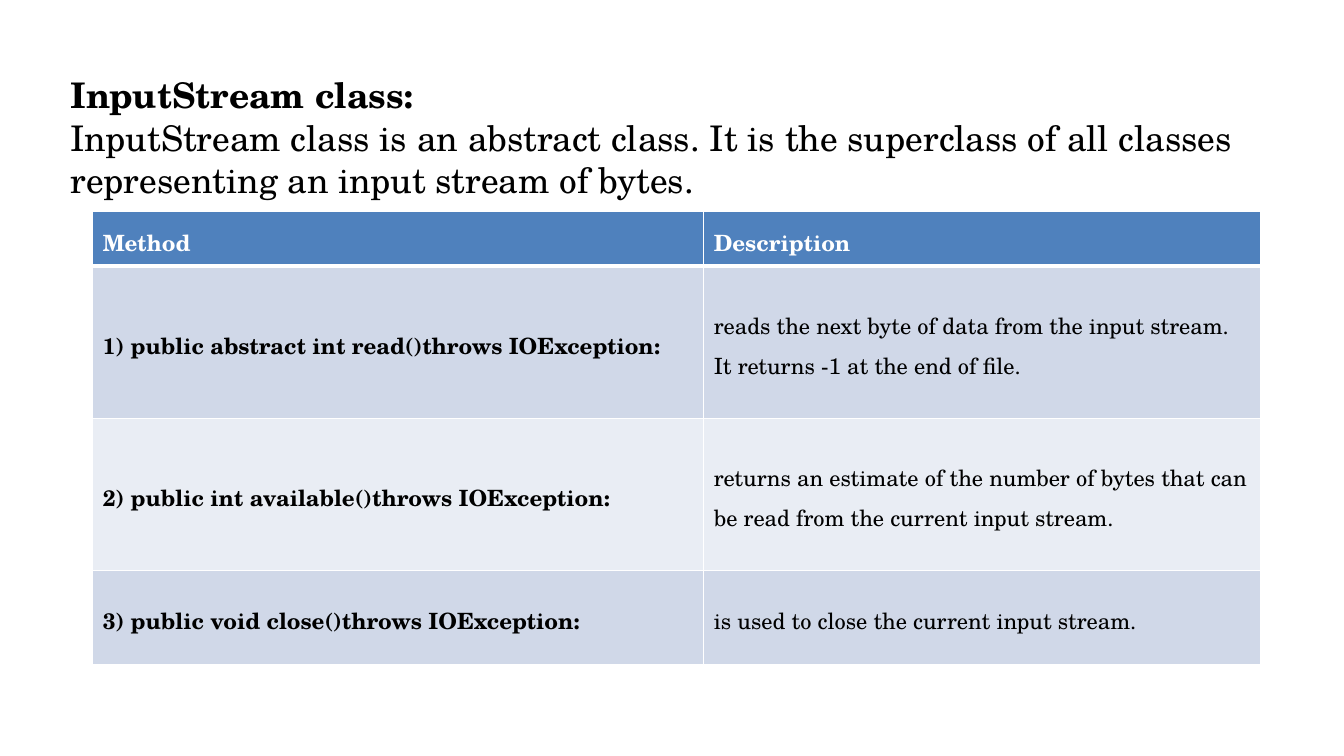
"""Build a slide that introduces the InputStream class and its main methods."""
from dataclasses import dataclass

from lxml.etree import SubElement
from pptx import Presentation
from pptx.dml.color import RGBColor
from pptx.enum.text import MSO_ANCHOR
from pptx.oxml.ns import qn
from pptx.util import Inches, Pt


@dataclass(frozen=True)
class Theme:
    font: str = "TeX Gyre Schola"
    title_size: float = 25.2
    table_size: float = 16
    text: str = "000000"
    white: str = "FFFFFF"
    header: str = "4F81BD"
    bands: tuple = ("D0D8E8", "E9EDF4")
    border: float = 1
    header_border: float = 3


theme = Theme()


def write(paragraph, text, *, size, color=theme.text, bold=False):
    run = paragraph.add_run()
    run.text = text
    run.font.name = theme.font
    run.font.size = Pt(size)
    run.font.bold = bold
    run.font.color.rgb = RGBColor.from_string(color)


def add_border(cell, side, width):
    line = SubElement(cell._tc.get_or_add_tcPr(), qn(f"a:ln{side}"), w=str(Pt(width)))
    fill = SubElement(line, qn("a:solidFill"))
    SubElement(fill, qn("a:srgbClr"), val=theme.white)


presentation = Presentation()
presentation.slide_width = Inches(13.33)
presentation.slide_height = Inches(7.5)
slide = presentation.slides.add_slide(presentation.slide_layouts[6])

title = slide.shapes.add_textbox(Inches(0.6), Inches(0.68), Inches(12), Inches(0.79))
title.text_frame.word_wrap = True
title_paragraph = title.text_frame.paragraphs[0]
write(title_paragraph, "InputStream class:", size=theme.title_size, bold=True)
title_paragraph.add_line_break()
write(
    title_paragraph,
    "InputStream class is an abstract class. It is the superclass of all classes "
    "representing an input stream of bytes.",
    size=theme.title_size,
)

methods = [
    ("Method", "Description"),
    (
        "1) public abstract int read()throws IOException:",
        "reads the next byte of data from the input stream. It returns -1 at the end of file.",
    ),
    (
        "2) public int available()throws IOException:",
        "returns an estimate of the number of bytes that can be read from the current input stream.",
    ),
    (
        "3) public void close()throws IOException:",
        "is used to close the current input stream.",
    ),
]
column_widths = [6.06, 5.52]
row_heights = [0.54, 1.51, 1.51, 0.93]

table = slide.shapes.add_table(
    len(methods), len(column_widths), Inches(0.92), Inches(2.1),
    Inches(sum(column_widths)), Inches(sum(row_heights)),
).table
for column, width in zip(table.columns, column_widths):
    column.width = Inches(width)

for row_index, (row, texts, height) in enumerate(zip(table.rows, methods, row_heights)):
    row.height = Inches(height)
    is_header = row_index == 0
    top_border = theme.header_border if row_index == 1 else theme.border
    bottom_border = theme.header_border if is_header else theme.border
    fill_color = theme.header if is_header else theme.bands[(row_index - 1) % 2]
    for column_index, (cell, text) in enumerate(zip(row.cells, texts)):
        cell.vertical_anchor = MSO_ANCHOR.MIDDLE
        for side, width in zip("LRTB", (theme.border, theme.border, top_border, bottom_border)):
            add_border(cell, side, width)
        cell.fill.solid()
        cell.fill.fore_color.rgb = RGBColor.from_string(fill_color)
        paragraph = cell.text_frame.paragraphs[0]
        paragraph.line_spacing = 1.2
        write(
            paragraph,
            text,
            size=theme.table_size,
            color=theme.white if is_header else theme.text,
            bold=is_header or column_index == 0,
        )

presentation.save("out.pptx")
